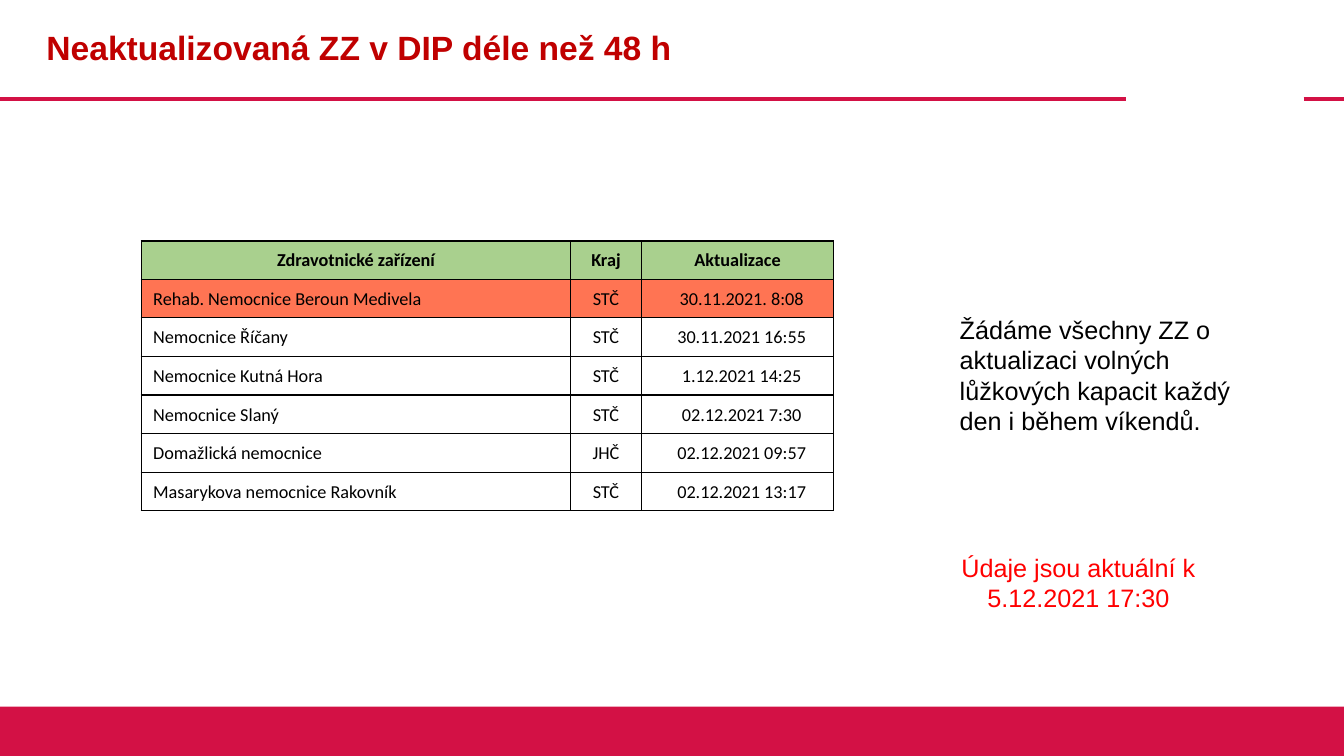
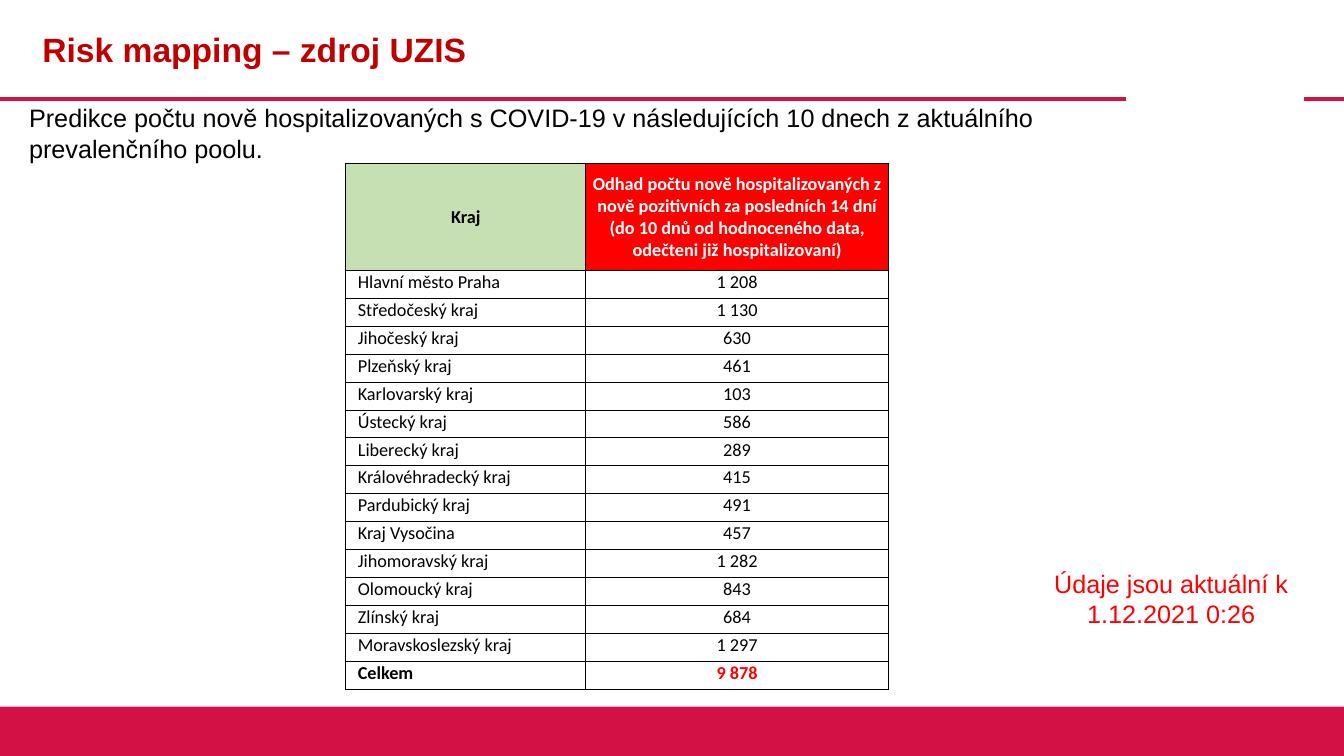
from dataclasses import dataclass, field

from lxml.etree import SubElement
from pptx import Presentation
from pptx.dml.color import RGBColor
from pptx.enum.shapes import MSO_CONNECTOR as Connector, MSO_SHAPE as Shape
from pptx.enum.text import MSO_ANCHOR as Anchor, MSO_AUTO_SIZE as AutoSize, PP_ALIGN as Align
from pptx.oxml.ns import qn
from pptx.slide import Slide
from pptx.table import _Cell as Cell
from pptx.text.text import TextFrame
from pptx.util import Inches, Pt

COLORS = {
    "band": "D31145",
    "title": "C00000",
    "alert": "FF0000",
    "text": "000000",
    "white": "FFFFFF",
    "header": "A9D08E",
    "pale_header": "C6E0B4",
    "overdue": "FF7453",
}
SLIDE_WIDTH, SLIDE_HEIGHT = 13.33, 7.5
RULE_TOP, BAND_TOP = 0.98, 7.01
RULE_SPANS = ((0, 11.17), (12.93, SLIDE_WIDTH))
TITLE_WIDTH, TITLE_HEIGHT = 10.81, 0.98


@dataclass(frozen=True)
class TextStyle:
    size: float
    font: str = "Arial"
    color: str = "text"
    bold: bool = False
    align: Align = Align.LEFT


@dataclass(frozen=True)
class Note:
    text: str
    left: float
    top: float
    width: float
    height: float
    style: TextStyle


@dataclass(frozen=True)
class Column:
    heading: str
    width: float
    fill: str
    align: Align = Align.CENTER
    heading_color: str = "text"
    left_inset: float = 0.01
    bottom_inset: float = 0


@dataclass(frozen=True)
class TableSpec:
    left: float
    top: float
    height: float
    header_height: float
    columns: tuple[Column, ...]
    rows: tuple[tuple[str, ...], ...]
    anchor: Anchor
    inner_rule: float = 1
    row_fills: dict[int, str] = field(default_factory=dict)
    total_color: str | None = None


TITLE_STYLE = TextStyle(24, color="title", bold=True)
BODY_STYLE = TextStyle(18)
STATUS_STYLE = TextStyle(18, color="alert", align=Align.CENTER)


def color(name: str) -> RGBColor:
    return RGBColor.from_string(COLORS[name])


def write_text(frame: TextFrame, text: str, style: TextStyle) -> None:
    paragraph = frame.paragraphs[0]
    paragraph.alignment = style.align
    run = paragraph.add_run()
    run.text = text
    run.font.name = style.font
    run.font.size = Pt(style.size)
    run.font.bold = style.bold
    run.font.color.rgb = color(style.color)


def add_frame(slide: Slide) -> None:
    """Draw the broken rule under the title and the band at the foot."""
    for start, end in RULE_SPANS:
        rule = slide.shapes.add_connector(
            Connector.STRAIGHT, Inches(start), Inches(RULE_TOP), Inches(end), Inches(RULE_TOP)
        )
        rule.line.color.rgb = color("band")
        rule.line.width = Pt(3)
        SubElement(rule._element.spPr, qn("a:effectLst"))
    band = slide.shapes.add_shape(
        Shape.RECTANGLE, 0, Inches(BAND_TOP), Inches(SLIDE_WIDTH), Inches(SLIDE_HEIGHT - BAND_TOP)
    )
    band.shadow.inherit = False
    band.fill.solid()
    band.fill.fore_color.rgb = color("band")
    band.line.fill.background()


def add_titled_slide(title: str, left: float, top: float) -> Slide:
    slide = presentation.slides.add_slide(presentation.slide_layouts[5])
    add_frame(slide)
    shape = slide.shapes.title
    shape.left, shape.top = Inches(left), Inches(top)
    shape.width, shape.height = Inches(TITLE_WIDTH), Inches(TITLE_HEIGHT)
    frame = shape.text_frame
    frame.auto_size = AutoSize.NONE
    frame.vertical_anchor = Anchor.MIDDLE
    frame.paragraphs[0].line_spacing = 0.9
    write_text(frame, title, TITLE_STYLE)
    return slide


def add_note(slide: Slide, note: Note) -> None:
    box = slide.shapes.add_textbox(
        Inches(note.left), Inches(note.top), Inches(note.width), Inches(note.height)
    )
    box.text_frame.word_wrap = True
    box.text_frame.auto_size = AutoSize.SHAPE_TO_FIT_TEXT
    write_text(box.text_frame, note.text, note.style)


def set_borders(cell: Cell, top: float, bottom: float) -> None:
    properties = cell._tc.get_or_add_tcPr()
    for tag, width in (("lnL", 1), ("lnR", 1), ("lnT", top), ("lnB", bottom)):
        line = SubElement(properties, qn(f"a:{tag}"), w=str(Pt(width)))
        fill = SubElement(line, qn("a:solidFill"))
        SubElement(fill, qn("a:srgbClr"), val=COLORS["text"])


def fill_cell(cell: Cell, text: str, style: TextStyle, fill: str | None, anchor: Anchor) -> None:
    if fill:
        cell.fill.solid()
        cell.fill.fore_color.rgb = color(fill)
    else:
        cell.fill.background()
    cell.vertical_anchor = anchor
    write_text(cell.text_frame, text, style)


def add_table(slide: Slide, spec: TableSpec) -> None:
    last = len(spec.rows)
    width = sum(column.width for column in spec.columns)
    table = slide.shapes.add_table(
        last + 1, len(spec.columns),
        Inches(spec.left), Inches(spec.top), Inches(width), Inches(spec.height),
    ).table
    table.first_row = table.horz_banding = False
    row_height = (spec.height - spec.header_height) / last
    for index, row in enumerate(table.rows):
        row.height = Inches(row_height if index else spec.header_height)

    for column_index, column in enumerate(spec.columns):
        table.columns[column_index].width = Inches(column.width)
        for row_index in range(last + 1):
            cell = table.cell(row_index, column_index)
            is_header = row_index == 0
            is_total = row_index == last and spec.total_color is not None
            cell.margin_left = Inches(0.01 if is_header else column.left_inset)
            cell.margin_top = cell.margin_right = Inches(0.01)
            cell.margin_bottom = Inches(0 if is_header else column.bottom_inset)
            set_borders(
                cell,
                top=spec.inner_rule if 1 < row_index < last else 1,
                bottom=spec.inner_rule if 0 < row_index < last - 1 else 1,
            )
            if is_header:
                style = TextStyle(13, "Calibri", column.heading_color, True, Align.CENTER)
                fill_cell(cell, column.heading, style, column.fill, Anchor.MIDDLE)
                continue
            text_color = spec.total_color if is_total and column_index else "text"
            style = TextStyle(13, "Calibri", text_color, is_total, column.align)
            text = spec.rows[row_index - 1][column_index]
            fill_cell(cell, text, style, spec.row_fills.get(row_index), spec.anchor)


OUTDATED_FACILITIES = TableSpec(
    left=1.4, top=2.39, height=2.68, header_height=0.38, anchor=Anchor.MIDDLE,
    columns=(
        Column("Zdravotnické zařízení", 4.26, "header", Align.LEFT, left_inset=0.12),
        Column("Kraj", 0.7, "header"),
        Column("Aktualizace", 1.91, "header", left_inset=0.09),
    ),
    rows=(
        ("Rehab. Nemocnice Beroun Medivela", "STČ", "30.11.2021. 8:08"),
        ("Nemocnice Říčany", "STČ", "30.11.2021 16:55"),
        ("Nemocnice Kutná Hora", "STČ", "1.12.2021 14:25"),
        ("Nemocnice Slaný", "STČ", "02.12.2021 7:30"),
        ("Domažlická nemocnice", "JHČ", "02.12.2021 09:57"),
        ("Masarykova nemocnice Rakovník", "STČ", "02.12.2021 13:17"),
    ),
    row_fills={1: "overdue"},
)

HOSPITAL_FORECAST = TableSpec(
    left=3.43, top=1.62, height=5.21, header_height=1.06, anchor=Anchor.TOP,
    columns=(
        Column("Kraj", 2.38, "pale_header", Align.LEFT, left_inset=0.12, bottom_inset=0.05),
        Column(
            "Odhad počtu nově hospitalizovaných z nově pozitivních za posledních 14 dní "
            "(do 10 dnů od hodnoceného data, odečteni již hospitalizovaní)",
            3, "alert", heading_color="white",
        ),
    ),
    rows=(
        ("Hlavní město Praha", "1 208"),
        ("Středočeský kraj", "1 130"),
        ("Jihočeský kraj", "630"),
        ("Plzeňský kraj", "461"),
        ("Karlovarský kraj", "103"),
        ("Ústecký kraj", "586"),
        ("Liberecký kraj", "289"),
        ("Královéhradecký kraj", "415"),
        ("Pardubický kraj", "491"),
        ("Kraj Vysočina", "457"),
        ("Jihomoravský kraj", "1 282"),
        ("Olomoucký kraj", "843"),
        ("Zlínský kraj", "684"),
        ("Moravskoslezský kraj", "1 297"),
        ("Celkem", "9 878"),
    ),
    inner_rule=0.5,
    total_color="alert",
)

presentation = Presentation()
presentation.slide_width = Inches(SLIDE_WIDTH)
presentation.slide_height = Inches(SLIDE_HEIGHT)

# Facilities with outdated records
facilities_slide = add_titled_slide("Neaktualizovaná ZZ v DIP déle než 48 h", 0.36, 0)
add_note(facilities_slide, Note(
    "Údaje jsou aktuální k 5.12.2021 17:30", 9.42, 5.43, 2.55, 0.71, STATUS_STYLE,
))
add_note(facilities_slide, Note(
    "Žádáme všechny ZZ o aktualizaci volných lůžkových kapacit každý den i během víkendů.",
    9.42, 3.07, 2.99, 1.31, BODY_STYLE,
))
add_table(facilities_slide, OUTDATED_FACILITIES)

# Forecast of new hospital admissions by region
forecast_slide = add_titled_slide("Risk mapping – zdroj UZIS", 0.32, 0.02)
add_note(forecast_slide, Note(
    "Predikce počtu nově hospitalizovaných s COVID-19 v následujících 10 dnech "
    "z aktuálního prevalenčního poolu.",
    0.19, 0.97, 10.93, 0.71, BODY_STYLE,
))
add_table(forecast_slide, HOSPITAL_FORECAST)
add_note(forecast_slide, Note(
    "Údaje jsou aktuální k 1.12.2021 0:26", 10.34, 5.59, 2.55, 0.71, STATUS_STYLE,
))

presentation.save("out.pptx")
